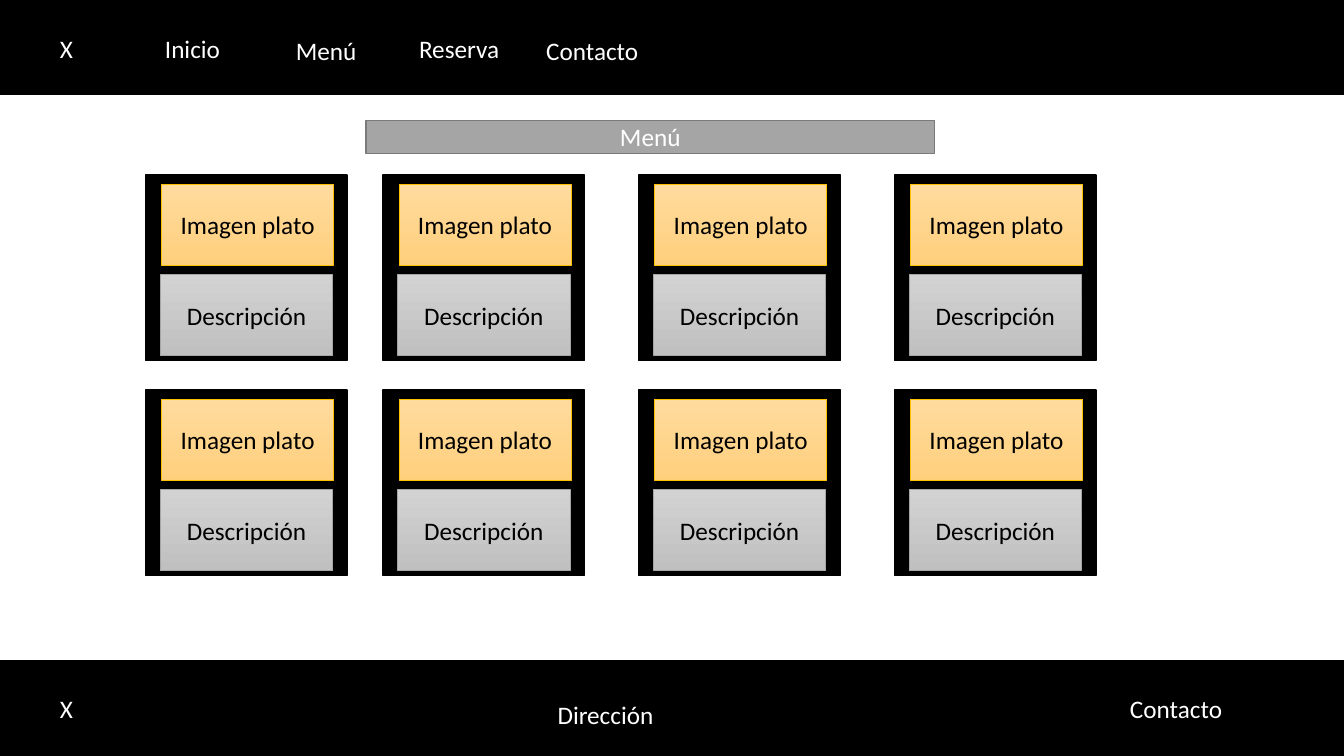
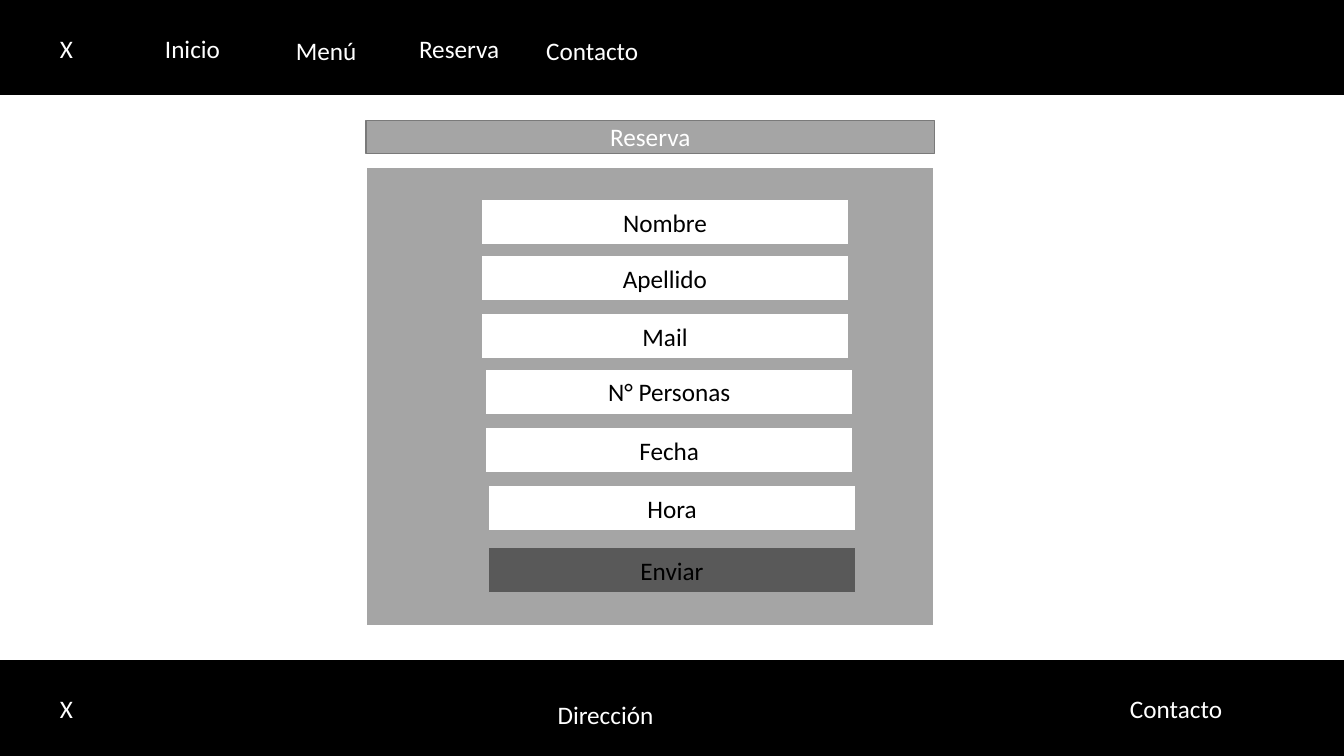
from dataclasses import dataclass

from pptx import Presentation
from pptx.dml.color import RGBColor
from pptx.enum import shapes, text
from pptx.util import Pt


@dataclass(frozen=True)
class Theme:
    """Colours and type shared by both slides."""
    font: str = "Calibri"
    size: int = 18
    black: str = "000000"
    white: str = "FFFFFF"
    grey: str = "A5A5A5"
    grey_edge: str = "7A7A7A"
    button: str = "595959"
    gold_edge: str = "FFC000"
    gold: tuple = ("FFDB9E", "FFD07C")
    silver: tuple = ("D2D2D2", "C0C0C0")


theme = Theme()


def format_box(box, fill, edge, label="", ink=theme.white, edge_width=1):
    """Set fill (one colour, or top and bottom colours), outline and centred label."""
    box.shadow.inherit = False
    if isinstance(fill, tuple):
        box.fill.gradient()
        box.fill.gradient_angle = 270
        for stop, colour in zip(box.fill.gradient_stops, fill):
            stop.color.rgb = RGBColor.from_string(colour)
    else:
        box.fill.solid()
        box.fill.fore_color.rgb = RGBColor.from_string(fill)
    box.line.color.rgb = RGBColor.from_string(edge)
    box.line.width = Pt(edge_width)
    if label:
        frame = box.text_frame
        frame.text = label
        frame.word_wrap = True
        frame.auto_size = text.MSO_AUTO_SIZE.NONE
        frame.vertical_anchor = text.MSO_ANCHOR.MIDDLE
        paragraph = frame.paragraphs[0]
        paragraph.alignment = text.PP_ALIGN.CENTER
        paragraph.font.name = theme.font
        paragraph.font.size = Pt(theme.size)
        paragraph.font.color.rgb = RGBColor.from_string(ink)


def add_box(slide, left, top, width, height, *look, **options):
    """Add a rectangle, placed in points, and format it."""
    box = slide.shapes.add_shape(shapes.MSO_SHAPE.RECTANGLE,
                                 Pt(left), Pt(top), Pt(width), Pt(height))
    format_box(box, *look, **options)


deck = Presentation()
deck.slide_width, deck.slide_height = Pt(960), Pt(540)

# Header, footer and heading shared by both pages
BAND_HEIGHT = 67.7
LINKS = [
    ("X", 0, 18), ("Inicio", 90, 18), ("Menú", 185.5, 19.5),
    ("Reserva", 280.5, 18), ("Contacto", 375.5, 19.5),
    ("X", 0, 489), ("Dirección", 385, 493.5), ("Contacto", 792.5, 489),
]
HEADING_LEFT, HEADING_WIDTH = 261.5, 406

pages = {}
for heading in ("Menú", "Reserva"):
    page = pages[heading] = deck.slides.add_slide(deck.slide_layouts[5])
    for band_top in (0, 540 - BAND_HEIGHT):
        add_box(page, 0, band_top, 960, BAND_HEIGHT, theme.black, theme.black)
    for link, left, top in LINKS:
        add_box(page, left, top, 95, 33.8, theme.black, theme.black, link)
    title = page.shapes.title
    title.left, title.top = Pt(HEADING_LEFT), Pt(86)
    title.width, title.height = Pt(HEADING_WIDTH), Pt(23.5)
    format_box(title, theme.grey, theme.grey_edge, heading)

# Menu page: two rows of dish cards
for card_top in (125, 278.5):
    for card_left in (104, 273.5, 456.2, 638.9):
        add_box(pages["Menú"], card_left, card_top, 144, 132.5,
                theme.black, theme.black)
        add_box(pages["Menú"], card_left + 11.4, card_top + 6.6, 123, 58,
                theme.gold, theme.gold_edge, "Imagen plato",
                ink=theme.black, edge_width=0.5)
        add_box(pages["Menú"], card_left + 10.6, card_top + 71.2, 123, 58,
                theme.silver, theme.grey, "Descripción",
                ink=theme.black, edge_width=0.5)

# Booking page: form panel, fields and send button
add_box(pages["Reserva"], HEADING_LEFT, 119, HEADING_WIDTH, 328,
        theme.grey, theme.white, edge_width=1.5)
FORM = [
    ("Nombre", 344, 142.5), ("Apellido", 344, 182.5), ("Mail", 344, 224),
    ("N° Personas", 347, 263.5), ("Fecha", 347, 305.5), ("Hora", 349, 347),
    ("Enviar", 349, 391),
]
for field, left, top in FORM:
    field_fill = theme.button if field == "Enviar" else theme.white
    add_box(pages["Reserva"], left, top, 262, 32.4,
            field_fill, theme.grey, field, ink=theme.black)

deck.save("out.pptx")
